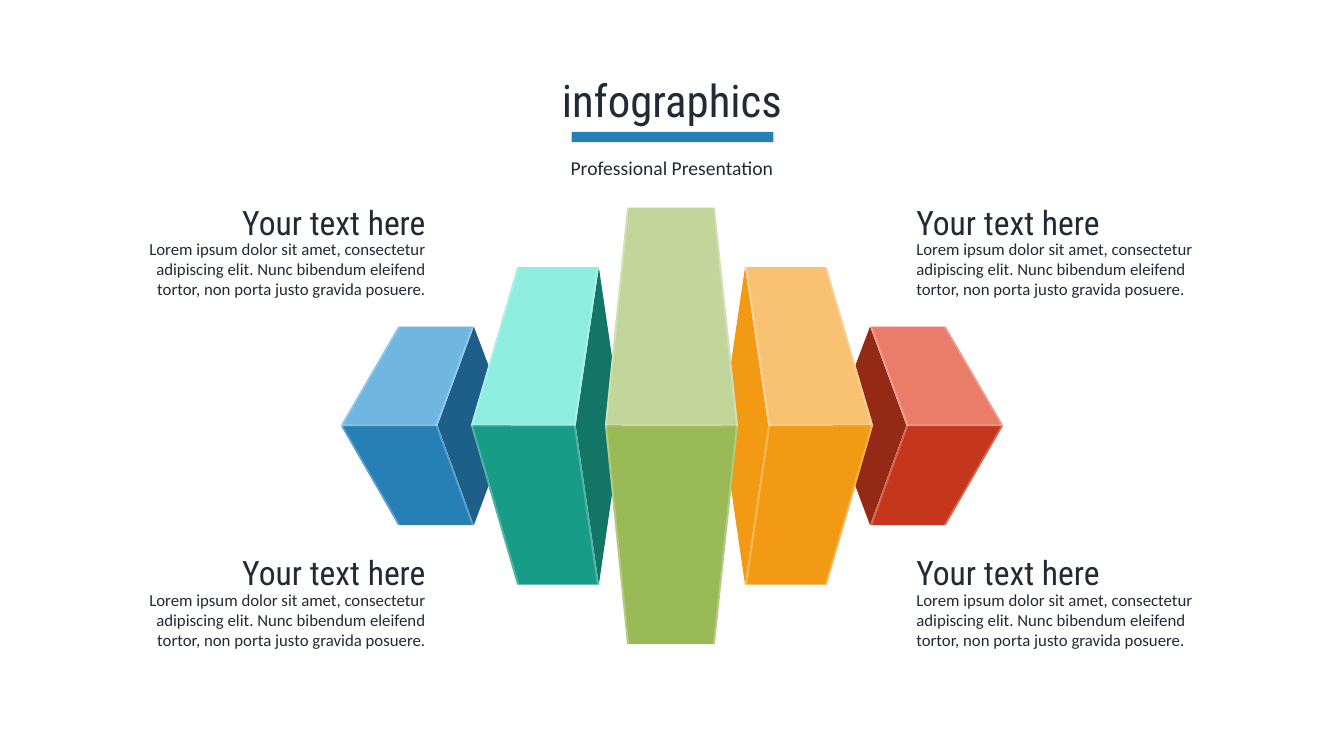
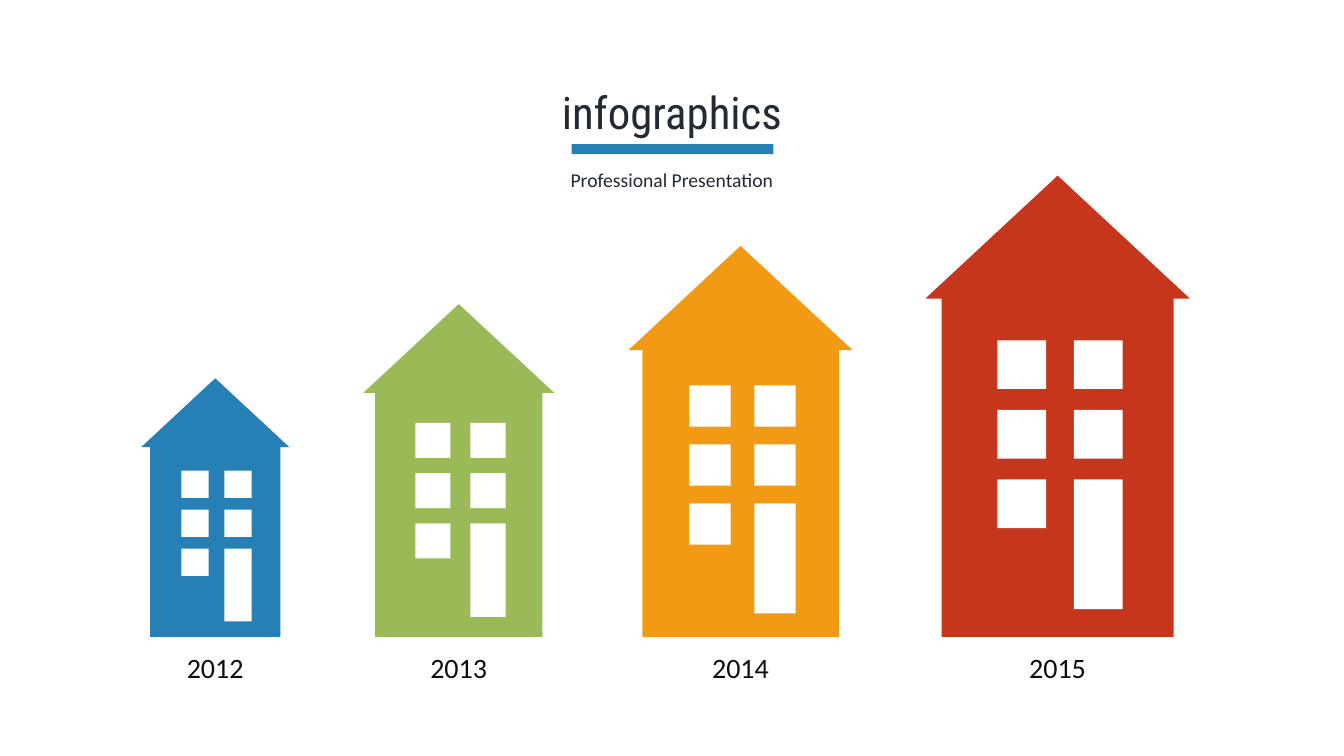
from lxml import etree
from pptx import Presentation
from pptx.dml.color import RGBColor
from pptx.enum.shapes import MSO_SHAPE
from pptx.enum.text import MSO_ANCHOR, MSO_AUTO_SIZE, PP_ALIGN
from pptx.oxml.ns import qn
from pptx.util import Inches, Pt

RECT, ROOF = MSO_SHAPE.RECTANGLE, MSO_SHAPE.ISOSCELES_TRIANGLE
LEFT, MID, RIGHT = PP_ALIGN.LEFT, PP_ALIGN.CENTER, PP_ALIGN.RIGHT
TOP, GROW = MSO_ANCHOR.TOP, MSO_AUTO_SIZE.SHAPE_TO_FIT_TEXT
WIDE, HIGH = 13.33, 7.5

HUES = {
    "white": "FFFFFF", "ink": "222A35", "year": "0D0D0D",
    "blue": "267FB5", "sky": "6FB6E1", "navy": "1D5F88",
    "teal": "189C87", "mint": "8DEDDE", "pine": "127565",
    "red": "C5361C", "rose": "EA7D69", "wine": "942915",
    "gold": "F39A14", "sand": "F8C272",
    "green": "9ABA58", "lime": "C2D69B",
}
LOOKS = {
    "title": {"name": "Roboto Condensed", "size": Pt(32)},
    "head": {"name": "Roboto Condensed", "size": Pt(24)},
    "sub": {"name": "Calibri", "size": Pt(14)},
    "body": {"name": "Calibri", "size": Pt(12)},
    "year": {"name": "Calibri", "size": Pt(20)},
}


def write(box, text, look, align, hue="ink", space=1.0):
    frame = box.text_frame
    frame.text = text
    for key, val in {"word_wrap": True, "auto_size": GROW,
                     "vertical_anchor": TOP}.items():
        setattr(frame, key, val)
    para = frame.paragraphs[0]
    para.alignment, para.line_spacing = align, space
    for key, val in LOOKS[look].items():
        setattr(para.font, key, val)
    para.font.color.rgb = RGBColor.from_string(HUES[hue])


def paint(shape, hue, alpha=100):
    shape.shadow.inherit = False
    shape.line.fill.background()
    shape.fill.solid()
    shape.fill.fore_color.rgb = RGBColor.from_string(HUES[hue])
    if alpha < 100:
        tint = shape._element.spPr.find(".//" + qn("a:srgbClr"))
        etree.SubElement(tint, qn("a:alpha")).set("val", str(alpha * 1000))


deck = Presentation()
deck.slide_width, deck.slide_height = Inches(WIDE), Inches(HIGH)

# Shared header: title, bar and subtitle
slides = []
for top in (0.67, 0.79):
    slide = deck.slides.add_slide(deck.slide_layouts[5])
    title = slide.shapes.title
    for key, val in {"left": 0, "top": top, "width": WIDE, "height": 0.64}.items():
        setattr(title, key, Inches(val))
    write(title, "infographics", "title", MID)
    bar = slide.shapes.add_shape(RECT, Inches(5.67), Inches(top + 0.64), Inches(2), Inches(0.1))
    paint(bar, "blue")
    sub = slide.shapes.add_textbox(Inches(0.68), Inches(top + 0.83), Inches(11.97), Inches(0.34))
    write(sub, "Professional Presentation", "sub", MID)
    slides.append(slide)
blocks, homes = slides

# Slide 1: folded blocks, the right pair mirroring the left pair
AXIS = 4.22
outer = (3.38, 4.34, 3.95, 4.70, 5.07, 3.24, 5.21)
inner = (4.67, 5.71, 5.13, 5.94, 6.17, 2.65, 5.80)
centre = (6.00, 7.32, 6.22, 7.09, None, 2.06, 6.39)
rows = [
    (outer, False, "sky", "blue", "navy"),
    (inner, False, "mint", "teal", "pine"),
    (outer, True, "rose", "red", "wine"),
    (inner, True, "sand", "gold", "gold"),
    (centre, False, "lime", "green", None),
]
for (near, far, near_end, far_end, tip, top, low), flip, light, main, dark in rows:
    parts = []
    if dark:
        parts.append((dark, 100, [(far, AXIS), (far_end, top), (tip, AXIS), (far_end, low)]))
    for hue, end in ((light, top), (main, low)):
        parts.append((hue, 100, [(far, AXIS), (far_end, end), (near_end, end), (near, AXIS)]))
    # Pale fold and edges
    parts.append(("white", 25, [(near, AXIS - 0.01), (far, AXIS - 0.01),
                                (far, AXIS + 0.01), (near, AXIS + 0.01)]))
    for mid, end, shift in ((near, near_end, 0.02), (far, far_end, -0.02)):
        parts.append(("white", 25, [
            (mid, AXIS), (end, top), (end + shift, top),
            (mid + shift, AXIS), (end + shift, low), (end, low)]))
    for hue, alpha, dots in parts:
        dots = [(Inches(WIDE - x if flip else x), Inches(y)) for x, y in dots]
        form = blocks.shapes.build_freeform(*dots[0])
        form.add_line_segments(dots[1:])
        paint(form.convert_to_shape(), hue, alpha)

# Slide 1: four captions
LOREM = ("Lorem ipsum dolor sit amet, consectetur adipiscing elit. "
         "Nunc bibendum eleifend tortor, non porta justo gravida posuere.")
for left, align in ((1.15, RIGHT), (8.99, LEFT)):
    for top in (1.95, 5.43):
        for text, look, drop, tall in (("Your text here", "head", 0, 0.5),
                                       (LOREM, "body", 0.37, 0.71)):
            box = blocks.shapes.add_textbox(Inches(left), Inches(top + drop),
                                            Inches(3.17), Inches(tall))
            write(box, text, look, align)

# Slide 2: one house in units of wall width, measured from the wall's lower left
BASE = 6.32
WINDOW = 0.21
house = [
    (RECT, 0, 1.48, 1, 1.48),
    (ROOF, -0.07, 1.99, 1.14, 0.53),
    (RECT, 0.57, 0.68, WINDOW, 0.56),
]
for col, row in ((0, 0), (0, 1), (1, 1), (0, 2), (1, 2)):
    house.append((RECT, 0.24 + 0.33 * col, 0.68 + 0.3 * row, WINDOW, WINDOW))

for year, left, size, hue in (("2012", 1.49, 1.29, "blue"), ("2013", 3.72, 1.66, "green"),
                              ("2014", 6.37, 1.95, "gold"), ("2015", 9.34, 2.3, "red")):
    for kind, x, y, wide, tall in house:
        part = homes.shapes.add_shape(kind, Inches(left + x * size), Inches(BASE - y * size),
                                      Inches(wide * size), Inches(tall * size))
        paint(part, "white" if wide < 1 else hue)
    label = homes.shapes.add_textbox(Inches(left + size / 2 - 1.03), Inches(6.24),
                                     Inches(2.06), Inches(0.61))
    write(label, year, "year", MID, "year", 1.5)

deck.save("out.pptx")
